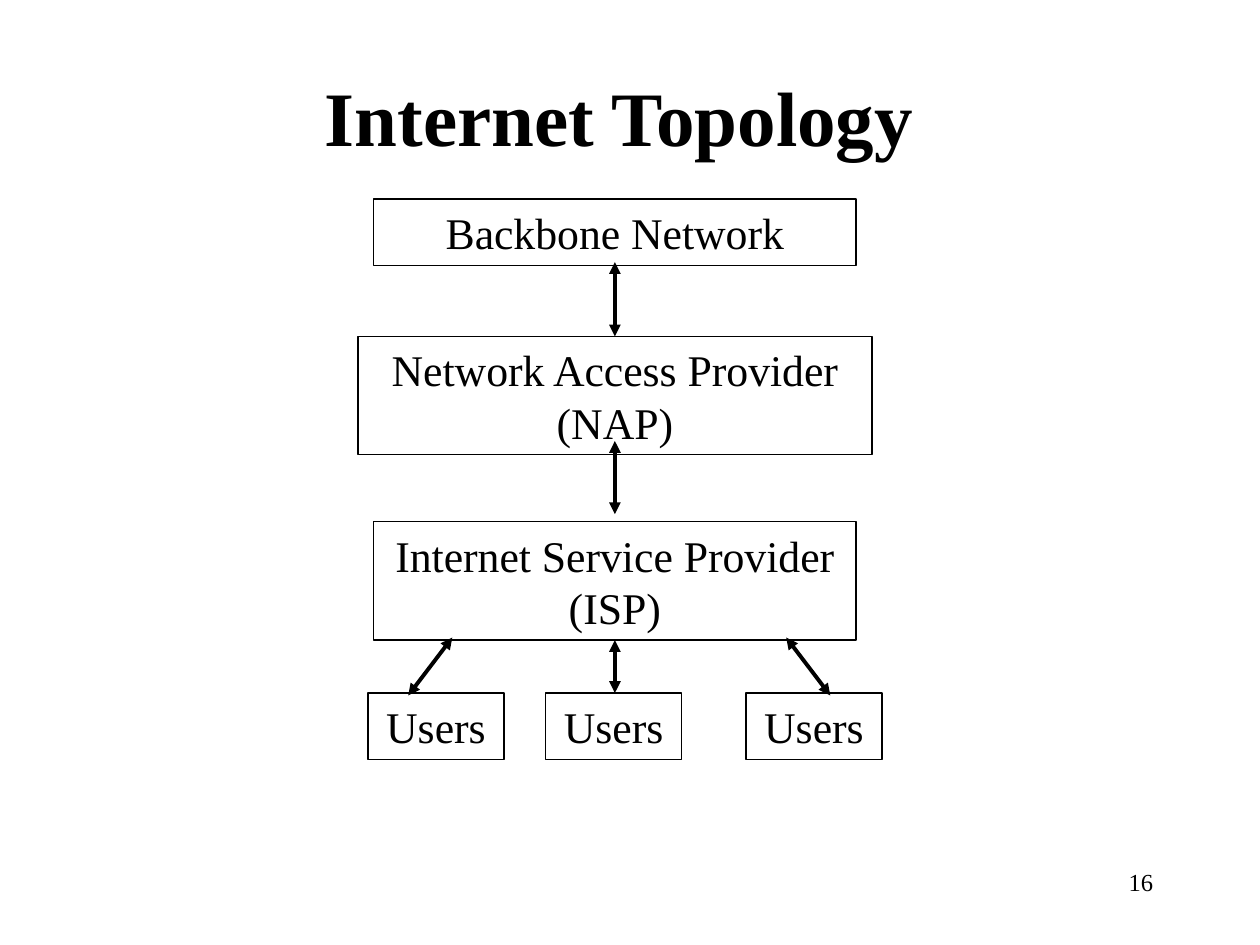
from lxml.etree import SubElement
from pptx import Presentation
from pptx.dml.color import RGBColor
from pptx.enum.shapes import MSO_CONNECTOR, MSO_SHAPE
from pptx.enum.text import MSO_ANCHOR, PP_ALIGN
from pptx.oxml.ns import qn
from pptx.util import Inches, Pt

BLACK = RGBColor(0, 0, 0)
FONT = "Times New Roman"
CENTER_X = 4.88
USER_WIDTH = 1.08


class TopologySlide:
    def __init__(self, slide):
        self.slide = slide

    def label(self, frame, text, size, align=PP_ALIGN.CENTER, bold=False):
        frame.text = text
        frame.word_wrap = True
        paragraph = frame.paragraphs[0]
        paragraph.alignment = align
        font = paragraph.runs[0].font
        font.name = FONT
        font.size = Pt(size)
        font.bold = bold
        font.color.rgb = BLACK

    def title(self, text, left, top, width, height):
        heading = self.slide.shapes.title
        heading.left, heading.top = Inches(left), Inches(top)
        heading.width, heading.height = Inches(width), Inches(height)
        self.label(heading.text_frame, text, 44, bold=True)
        heading.text_frame.vertical_anchor = MSO_ANCHOR.MIDDLE

    def page_number(self, text, left, top, width, height):
        number = self.slide.shapes.add_textbox(
            Inches(left), Inches(top), Inches(width), Inches(height))
        self.label(number.text_frame, text, 14, align=PP_ALIGN.RIGHT)

    def node(self, text, left, top, width, height):
        node = self.slide.shapes.add_shape(
            MSO_SHAPE.RECTANGLE,
            Inches(left), Inches(top), Inches(width), Inches(height))
        node.shadow.inherit = False
        node.fill.background()
        node.line.color.rgb = BLACK
        node.line.width = Pt(0.75)
        self.label(node.text_frame, text, 25)
        node.text_frame.vertical_anchor = MSO_ANCHOR.MIDDLE

    def link(self, x1, y1, x2, y2):
        link = self.slide.shapes.add_connector(
            MSO_CONNECTOR.STRAIGHT,
            Inches(x1), Inches(y1), Inches(x2), Inches(y2))
        link.line.color.rgb = BLACK
        link.line.width = Pt(2.25)
        properties = link.element.spPr
        outline = properties.get_or_add_ln()
        for end in ("a:headEnd", "a:tailEnd"):
            SubElement(outline, qn(end), type="triangle")
        SubElement(properties, qn("a:effectLst"))


def main():
    presentation = Presentation()
    presentation.slide_width = Inches(10)
    presentation.slide_height = Inches(7.5)
    topology = TopologySlide(
        presentation.slides.add_slide(presentation.slide_layouts[5]))

    topology.page_number("16", 7.17, 6.83, 2.08, 0.5)
    topology.title("Internet Topology", 2.08, 0.5, 5.67, 0.83)

    providers = [
        ("Backbone Network", 1.58, 3.83, 0.53),
        ("Network Access Provider (NAP)", 2.67, 4.08, 0.94),
        ("Internet Service Provider (ISP)", 4.14, 3.83, 0.94),
    ]
    for name, top, width, height in providers:
        topology.node(name, CENTER_X - width / 2, top, width, height)
    for left in (2.92, 4.33, 5.92):
        topology.node("Users", left, 5.5, USER_WIDTH, 0.53)

    for start, end in ((2.08, 2.67), (3.5, 4.08), (5.08, 5.5)):
        topology.link(CENTER_X, start, CENTER_X, end)
    for provider_x, user_x in ((3.59, 3.24), (6.24, 6.59)):
        topology.link(provider_x, 5.06, user_x, 5.52)

    presentation.save("out.pptx")


if __name__ == "__main__":
    main()
